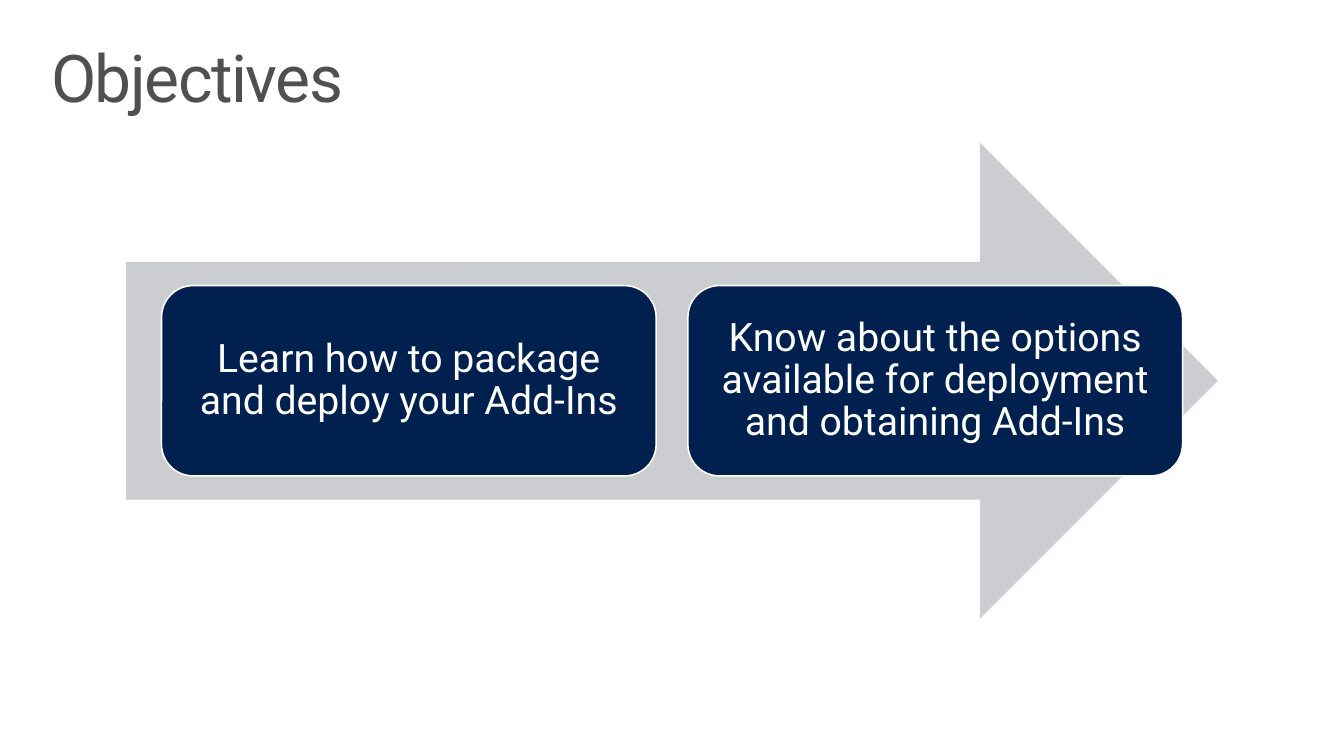
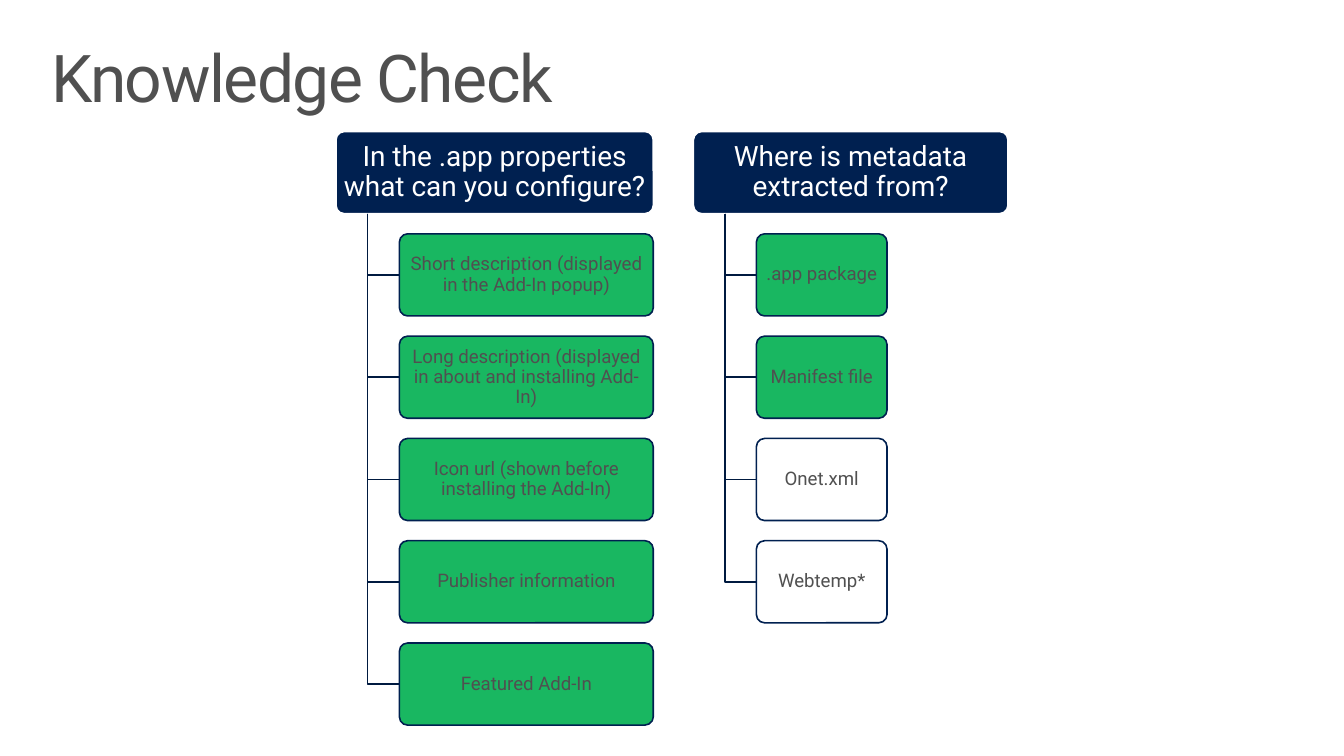
from lxml import etree
from pptx import Presentation
from pptx.dml.color import RGBColor
from pptx.enum.shapes import MSO_SHAPE
from pptx.enum.text import MSO_ANCHOR, PP_ALIGN
from pptx.oxml.ns import qn
from pptx.util import Pt

ARROW = MSO_SHAPE.RIGHT_ARROW
ROUNDED = MSO_SHAPE.ROUNDED_RECTANGLE
MIDDLE = MSO_ANCHOR.MIDDLE
TOP = MSO_ANCHOR.TOP
CENTER = PP_ALIGN.CENTER
LEFT = PP_ALIGN.LEFT

FONT = "Roboto"
LINE_WIDTH = 0.85
COLORS = {
    "navy": "002050",
    "branch": "001A40",
    "gray": "CCCDD0",
    "text": "505050",
    "green": "00B050",
    "white": "FFFFFF",
}

OBJECTIVES = [
    "Learn how to package and deploy your Add-Ins",
    "Know about the options available for deployment and obtaining Add-Ins",
]

# Left, header width, answer width, question, [(answer, fill)]
QUESTIONS = [
    (180, 170, 136, "In the .app properties what can you configure?", [
        ("Short description (displayed in the Add-In popup)", "green"),
        ("Long description (displayed in about and installing Add-In)", "green"),
        ("Icon url (shown before installing the Add-In)", "green"),
        ("Publisher information", "green"),
        ("Featured Add-In", "green"),
    ]),
    (371.5, 168.5, 70, "Where is metadata extracted from?", [
        (".app package", "green"),
        ("Manifest file", "green"),
        ("Onet.xml", "white"),
        ("Webtemp*", "white"),
    ]),
]
TREE_TOP = 70.5
BOX_HEIGHT = 44
ROW_PITCH = 54.8


def rgb(name):
    return RGBColor.from_string(COLORS[name])


class SlideBuilder:
    def __init__(self, deck):
        self.deck = deck
        self.page = None

    def new_page(self, title):
        self.page = self.deck.slides.add_slide(self.deck.slide_layouts[6])
        box = self.page.shapes.add_textbox(Pt(15.84), Pt(17.28), Pt(688.3), Pt(53.3))
        paragraph = self.set_text(box, title, 35.3, "text", (11.5, 7.2), LEFT, TOP)
        properties = paragraph._p.get_or_add_pPr().find(qn("a:defRPr"))
        properties.set("spc", "-80")

    def set_text(self, box, text, size, color, insets, align=CENTER, anchor=MIDDLE):
        frame = box.text_frame
        frame.word_wrap = True
        frame.vertical_anchor = anchor
        frame.margin_left = frame.margin_right = Pt(insets[0])
        frame.margin_top = frame.margin_bottom = Pt(insets[1])
        paragraph = frame.paragraphs[0]
        paragraph.text = text
        paragraph.alignment = align
        paragraph.line_spacing = 0.9
        paragraph.font.name = FONT
        paragraph.font.size = Pt(size)
        paragraph.font.color.rgb = rgb(color)
        return paragraph

    def shape(self, kind, left, top, width, height, fill, line=None, opacity=100):
        shape = self.page.shapes.add_shape(kind, Pt(left), Pt(top), Pt(width), Pt(height))
        shape.shadow.inherit = False
        shape.fill.solid()
        shape.fill.fore_color.rgb = rgb(fill)
        if opacity < 100:
            color = shape._element.spPr.find(qn("a:solidFill")).find(qn("a:srgbClr"))
            etree.SubElement(color, qn("a:alpha")).set("val", str(opacity * 1000))
        if line:
            shape.line.color.rgb = rgb(line)
            shape.line.width = Pt(LINE_WIDTH)
        else:
            shape.line.fill.background()
        return shape

    def tree_box(self, left, top, width, fill, line, opacity=100):
        box = self.shape(ROUNDED, left, top, width, BOX_HEIGHT, fill, line, opacity)
        box.adjustments[0] = 0.1
        return box

    def branch(self, left, top, right, bottom):
        """Draw an elbow line: down from the header, then right to the answer."""
        outline = self.page.shapes.build_freeform(Pt(left), Pt(top))
        outline.add_line_segments(
            [(Pt(left), Pt(bottom)), (Pt(right), Pt(bottom))], close=False)
        elbow = outline.convert_to_shape()
        elbow.shadow.inherit = False
        elbow.fill.background()
        elbow.line.color.rgb = rgb("branch")
        elbow.line.width = Pt(LINE_WIDTH)

    def question_tree(self, left, header_width, answer_width, question, answers):
        header = self.tree_box(left, TREE_TOP, header_width, "navy", "white")
        self.set_text(header, question, 15, "white", (2.25, 1.5))
        indent = header_width / 10
        answer_left = left + 2 * indent
        for row, (answer, fill) in enumerate(answers, start=1):
            top = TREE_TOP + row * ROW_PITCH
            self.branch(left + indent, TREE_TOP + BOX_HEIGHT,
                        answer_left, top + BOX_HEIGHT / 2)
            box = self.tree_box(answer_left, top, answer_width, fill, "navy", 90)
            self.set_text(box, answer, 10, "text", (1.5, 1))


def build_objectives(builder):
    builder.new_page("Objectives")
    builder.shape(ARROW, 67.5, 76.5, 585, 255, "gray")
    for column, objective in enumerate(OBJECTIVES):
        box = builder.shape(ROUNDED, 86.5 + column * 282, 153, 265, 102, "navy", "white")
        builder.set_text(box, objective, 21, "white", (6.3, 6.3))


def build_knowledge_check(builder):
    builder.new_page("Knowledge Check")
    for question in QUESTIONS:
        builder.question_tree(*question)


def main():
    deck = Presentation()
    deck.slide_width = Pt(720)
    deck.slide_height = Pt(405)
    builder = SlideBuilder(deck)
    build_objectives(builder)
    build_knowledge_check(builder)
    deck.save("out.pptx")


if __name__ == "__main__":
    main()
